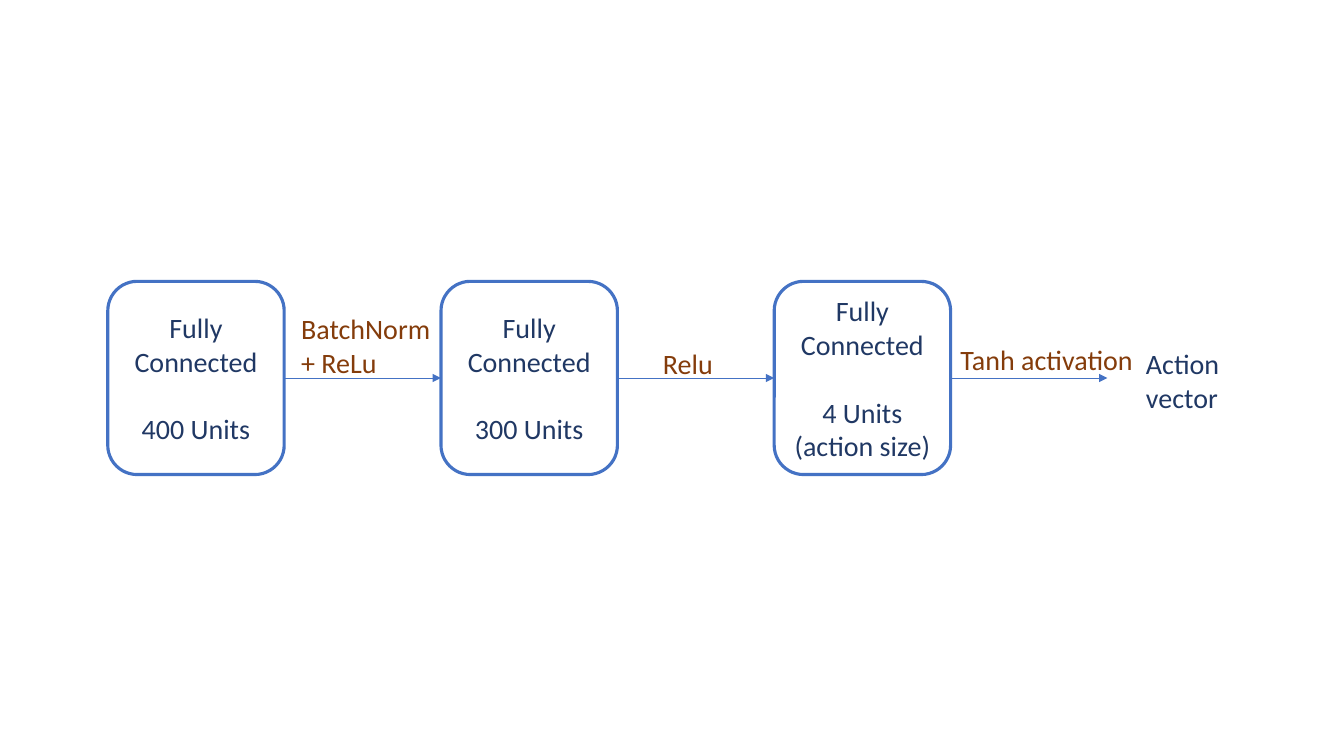
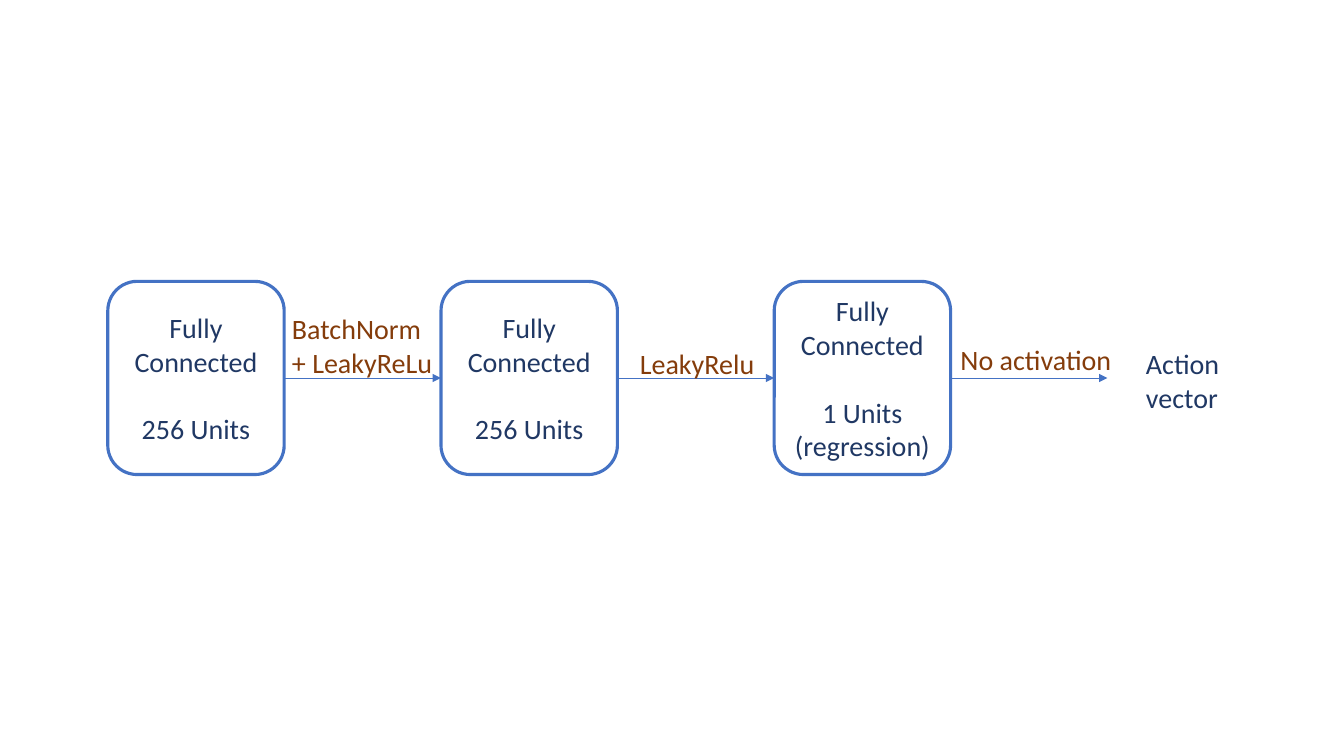
from dataclasses import dataclass

from lxml.etree import SubElement
from pptx import Presentation
from pptx.dml.color import RGBColor as Color
from pptx.enum.shapes import MSO_CONNECTOR as Connector, MSO_SHAPE as Shape
from pptx.enum.text import MSO_ANCHOR as Anchor, MSO_AUTO_SIZE as AutoSize, PP_ALIGN as Align
from pptx.oxml.ns import qn
from pptx.util import Pt


@dataclass(frozen=True)
class Theme:
    font: str = "Calibri"
    size: float = 20
    line_height: float = 24.4
    ink: str = "203864"
    accent: str = "843C0B"
    line: str = "4472C4"
    paper: str = "FFFFFF"
    border: float = 2.25
    arrow: float = 0.5


class Diagram:
    def __init__(self, deck, theme):
        self.deck = deck
        self.theme = theme
        self.page = None

    def new_page(self):
        self.page = self.deck.slides.add_slide(self.deck.slide_layouts[6])

    def add_lines(self, frame, lines, color, alignment):
        for index, line in enumerate(lines):
            para = frame.paragraphs[0] if index == 0 else frame.add_paragraph()
            para.alignment = alignment
            span = para.add_run()
            span.text = line
            span.font.color.rgb = Color.from_string(color)
            for name, value in {"name": self.theme.font, "size": Pt(self.theme.size)}.items():
                setattr(span.font, name, value)

    def stroke(self, line, width):
        line.color.rgb = Color.from_string(self.theme.line)
        line.width = Pt(width)

    def layer(self, left, top, width, height, lines):
        box = self.page.shapes.add_shape(
            Shape.ROUNDED_RECTANGLE, Pt(left), Pt(top), Pt(width), Pt(height))
        box.shadow.inherit = False
        box.fill.solid()
        box.fill.fore_color.rgb = Color.from_string(self.theme.paper)
        self.stroke(box.line, self.theme.border)
        frame = box.text_frame
        for name, value in {"word_wrap": True, "vertical_anchor": Anchor.MIDDLE}.items():
            setattr(frame, name, value)
        self.add_lines(frame, lines, self.theme.ink, Align.CENTER)
        frame.paragraphs[1].space_before = Pt(self.theme.line_height)
        return box

    def label(self, left, top, width, lines, color):
        height = len(lines) * self.theme.line_height + 7.2
        box = self.page.shapes.add_textbox(Pt(left), Pt(top), Pt(width), Pt(height))
        for name, value in {"word_wrap": False, "auto_size": AutoSize.SHAPE_TO_FIT_TEXT}.items():
            setattr(box.text_frame, name, value)
        self.add_lines(box.text_frame, lines, color, Align.LEFT)

    def arrow(self, left, right, level, source, target=None):
        arrow = self.page.shapes.add_connector(
            Connector.STRAIGHT, Pt(left), Pt(level), Pt(right), Pt(level))
        arrow.begin_connect(source, 3)
        if target is not None:
            arrow.end_connect(target, 1)
        self.stroke(arrow.line, self.theme.arrow)
        properties = arrow._element.spPr
        SubElement(properties.find(qn("a:ln")), qn("a:tailEnd"), type="triangle")
        SubElement(properties, qn("a:effectLst"))


LEFT, TOP, WIDTH, HEIGHT, PITCH = 77, 201, 126, 138, 238
MIDDLE = TOP + HEIGHT / 2

NETWORKS = [
    {
        "layers": ["400 Units", "300 Units", "4 Units (action size)"],
        "activations": [
            (208, 219, 112, ["BatchNorm ", "+ ReLu"]),
            (466.5, 244, 50.5, ["Relu"]),
            (679, 241, 139, ["Tanh activation"]),
        ],
    },
    {
        "layers": ["256 Units", "256 Units", "1 Units (regression)"],
        "activations": [
            (201.5, 219, 115, ["BatchNorm ", "+ LeakyReLu"]),
            (450, 244, 97, ["LeakyRelu"]),
            (679, 241, 124, ["No activation"]),
        ],
    },
]

deck = Presentation()
deck.slide_width, deck.slide_height = Pt(960), Pt(540)
theme = Theme()
diagram = Diagram(deck, theme)

for network in NETWORKS:
    diagram.new_page()
    layers = [
        diagram.layer(LEFT + index * PITCH, TOP, WIDTH, HEIGHT, ["Fully Connected", units])
        for index, units in enumerate(network["layers"])
    ]
    for index, (source, target) in enumerate(zip(layers, layers[1:] + [None])):
        start = LEFT + index * PITCH
        diagram.arrow(start + WIDTH, start + PITCH, MIDDLE, source, target)
    for left, top, width, lines in network["activations"]:
        diagram.label(left, top, width, lines, theme.accent)
    diagram.label(811.5, 244, 72, ["Action ", "vector"], theme.ink)

deck.save("out.pptx")
